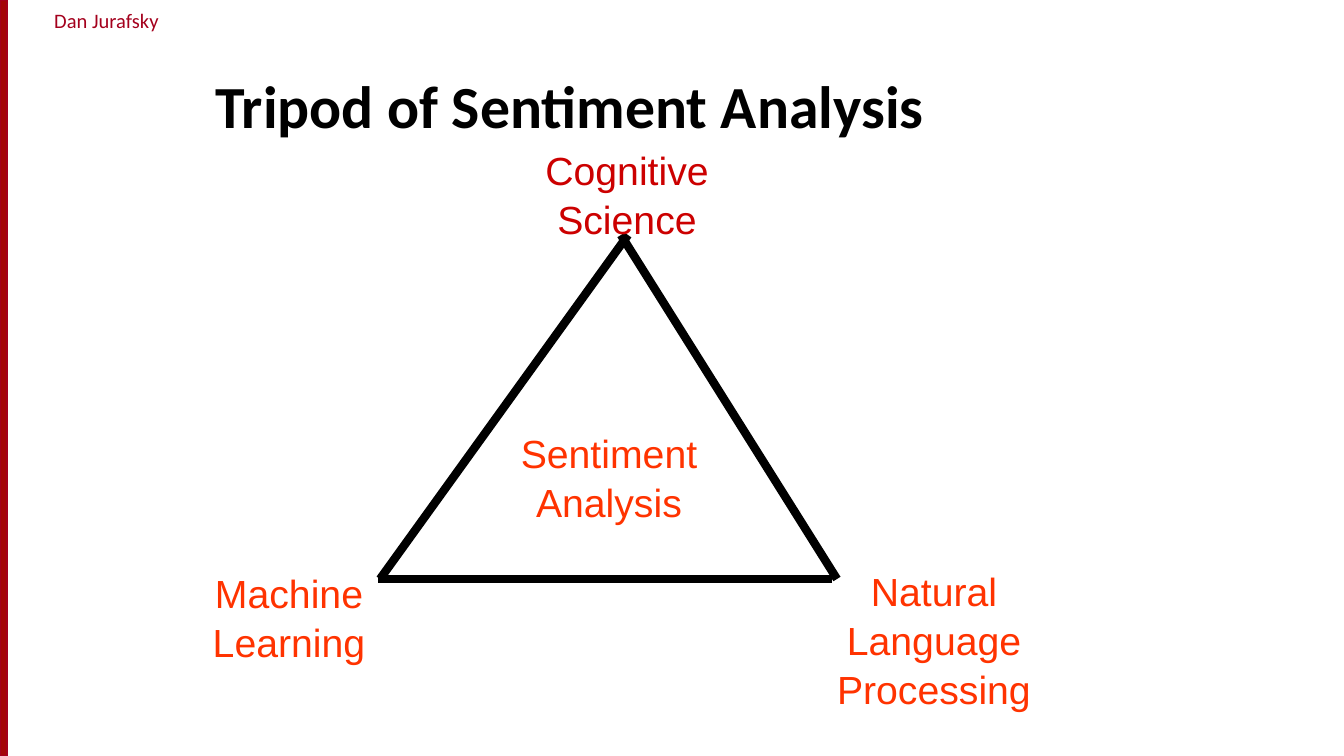
import pptx
import pptx.dml.color
import pptx.enum.shapes
import pptx.enum.text
import pptx.util
import lxml.etree

PX = 6804
BLACK, CRIMSON, RED, ORANGE = "000000", "A4001D", "CC0000", "FF3300"


def color(value):
    return pptx.dml.color.RGBColor.from_string(value)


def add_text(shape, text, font, size, value, align, bold=False):
    paragraph = shape.text_frame.paragraphs[0]
    paragraph.alignment = align
    run = paragraph.add_run()
    run.text = text
    run.font.name = font
    run.font.size = pptx.util.Pt(size)
    run.font.bold = bold
    run.font.color.rgb = color(value)
    return paragraph


presentation = pptx.Presentation()
presentation.slide_width = 1344 * PX
presentation.slide_height = 756 * PX
slide = presentation.slides.add_slide(presentation.slide_layouts[5])
align = pptx.enum.text.PP_ALIGN

author = slide.shapes.add_textbox(11 * PX, 1 * PX, 191 * PX, 39 * PX)
author.text_frame.word_wrap = True
author.text_frame.margin_left = author.text_frame.margin_right = 0
add_text(author, "Dan Jurafsky", "Calibri", 11, CRIMSON, align.CENTER)

side_bar = slide.shapes.add_shape(
    pptx.enum.shapes.MSO_SHAPE.RECTANGLE, 0, 0, 7 * PX, 756 * PX)
side_bar.shadow.inherit = False
side_bar.fill.solid()
side_bar.fill.fore_color.rgb = color("A40508")
side_bar.line.color.rgb = color(CRIMSON)
side_bar.line.width = pptx.util.Pt(0.75)

title = slide.shapes.title
title.left, title.top, title.width, title.height = 202 * PX, 38 * PX, 1098 * PX, 109 * PX
title.text_frame.vertical_anchor = pptx.enum.text.MSO_ANCHOR.BOTTOM
add_text(title, "Tripod of Sentiment Analysis", "Calibri", 32, BLACK, align.LEFT, True)

triangle_sides = [
    (621, 235, 837, 579),
    (378, 579, 832, 579),
    (628, 235, 380, 579),
]
for ends in triangle_sides:
    side = slide.shapes.add_connector(
        pptx.enum.shapes.MSO_CONNECTOR.STRAIGHT, *[end * PX for end in ends])
    side.line.color.rgb = color(BLACK)
    side.line.width = pptx.util.Pt(4.5)
    lxml.etree.SubElement(
        side._element.spPr, pptx.oxml.ns.qn("a:effectLst"))

labels = [
    ("Cognitive Science", 463, 137, 109, RED),
    ("Sentiment Analysis", 445, 420, 109, ORANGE),
    ("Natural Language Processing", 770, 558, 156, ORANGE),
    ("Machine Learning", 125, 560, 109, ORANGE),
]
for text, left, top, height, value in labels:
    label = slide.shapes.add_textbox(left * PX, top * PX, 328 * PX, height * PX)
    label.text_frame.word_wrap = True
    paragraph = add_text(label, text, "Arial", 21, value, align.CENTER)
    paragraph.line_spacing = 1.05

presentation.save("out.pptx")
